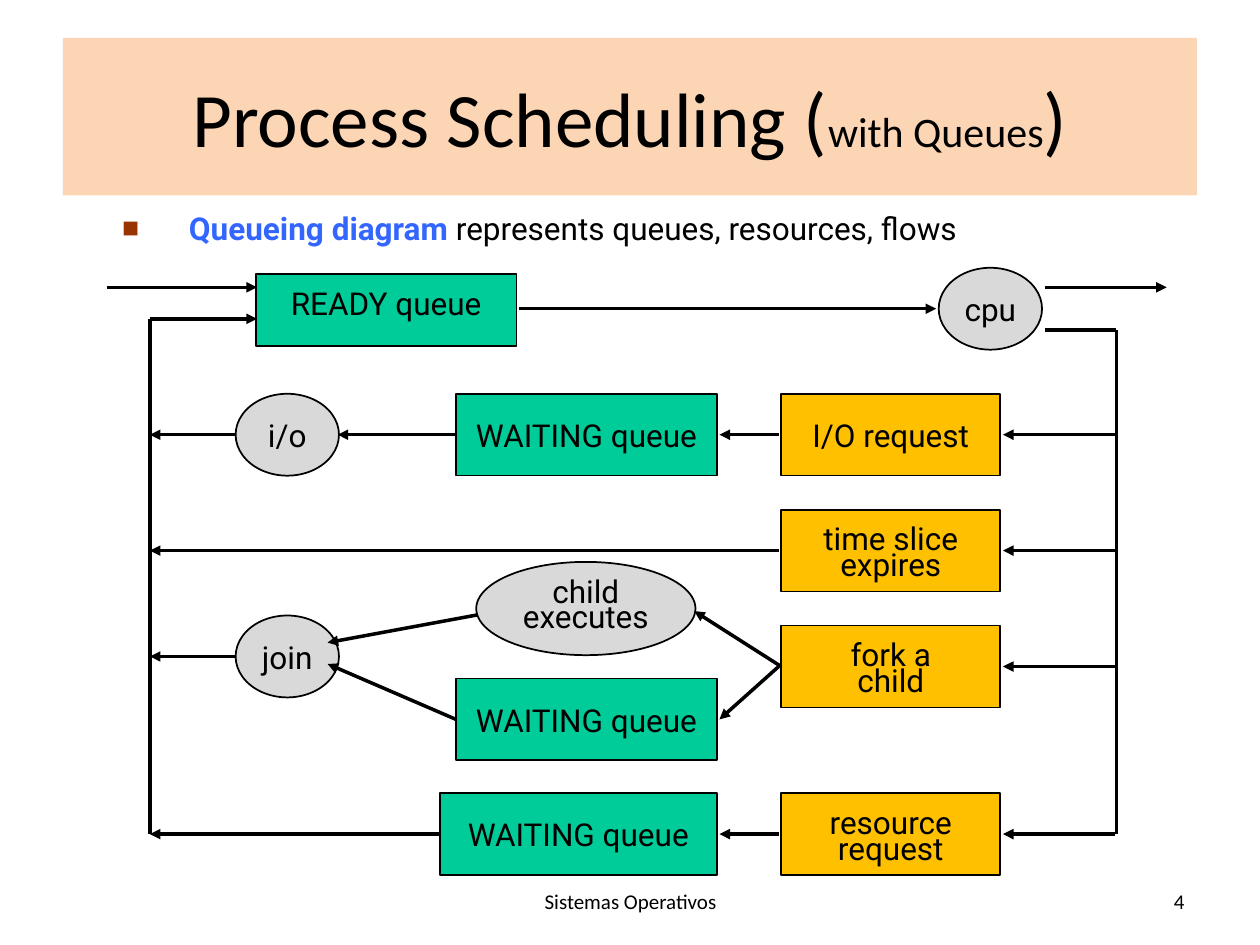
from dataclasses import dataclass

from lxml.etree import SubElement
from pptx import Presentation
from pptx.dml.color import RGBColor
from pptx.enum.shapes import MSO_CONNECTOR, MSO_SHAPE
from pptx.enum.text import MSO_ANCHOR, PP_ALIGN
from pptx.oxml.ns import qn
from pptx.util import Inches, Pt


@dataclass(frozen=True)
class Theme:
    ink: str = "000000"
    banner: str = "FCD5B5"
    queue: str = "00CC99"
    event: str = "FFC000"
    resource: str = "D9D9D9"
    term: str = "3366FF"
    bullet: str = "993300"
    heading_font: str = "Calibri"
    body_font: str = "Roboto"
    title: int = 44
    subtitle: int = 24
    body: int = 18
    footer: int = 12
    outline: int = 1
    flow: int = 2


THEME = Theme()


def rgb(value):
    return RGBColor.from_string(value)


def write(p, text, font=THEME.body_font, size=THEME.body, color=THEME.ink, bold=False):
    r = p.add_run()
    r.text = text
    r.font.name = font
    r.font.size = Pt(size)
    r.font.bold = bold
    r.font.color.rgb = rgb(color)


def add_box(s, box, kind=None, fill=None, outline=False):
    lengths = [Inches(v) for v in box]
    if kind is None:
        return s.shapes.add_textbox(*lengths)
    sp = s.shapes.add_shape(kind, *lengths)
    sp.shadow.inherit = False
    sp.fill.solid()
    sp.fill.fore_color.rgb = rgb(fill)
    if outline:
        sp.line.color.rgb = rgb(THEME.ink)
        sp.line.width = Pt(THEME.outline)
    else:
        sp.line.fill.background()
    return sp


def frame(sp, align=PP_ALIGN.CENTER, anchor=MSO_ANCHOR.MIDDLE, wrap=True):
    tf = sp.text_frame
    tf.word_wrap = wrap
    tf.vertical_anchor = anchor
    p = tf.paragraphs[0]
    p.alignment = align
    return tf, p


def add_title(s, box):
    tf, p = frame(add_box(s, box, MSO_SHAPE.RECTANGLE, THEME.banner))
    for text, size in (
        ("Process Scheduling (", THEME.title),
        ("with Queues", THEME.subtitle),
        (")", THEME.title),
    ):
        write(p, text, font=THEME.heading_font, size=size)


def add_bullet(s, box):
    tf, p = frame(add_box(s, box), PP_ALIGN.LEFT, MSO_ANCHOR.TOP)
    tf.margin_left = tf.margin_right = Inches(0.07)
    tf.margin_top = tf.margin_bottom = Inches(0.04)
    pPr = p._p.get_or_add_pPr()
    pPr.set("marL", str(Inches(0.53)))
    pPr.set("indent", str(-Inches(0.53)))
    color = SubElement(pPr, qn("a:buClr"))
    SubElement(color, qn("a:srgbClr"), val=THEME.bullet)
    SubElement(pPr, qn("a:buSzPct"), val="90000")
    SubElement(pPr, qn("a:buFont"), typeface="Arial")
    SubElement(pPr, qn("a:buChar"), char="■")
    write(p, "Queueing diagram ", color=THEME.term, bold=True)
    write(p, "represents queues, resources, flows")


def add_footer(s, box):
    left, top, width, height = box
    for text, x, w, align in (
        ("Sistemas Operativos", left, 3.17, PP_ALIGN.CENTER),
        ("4", left + width - 2.33, 2.33, PP_ALIGN.RIGHT),
    ):
        tf, p = frame(add_box(s, (x, top, w, height)), align)
        write(p, text, font=THEME.heading_font, size=THEME.footer)


def add_node(s, box, lines, kind, fill, first_spacing=None, anchor=MSO_ANCHOR.MIDDLE):
    tf, p = frame(add_box(s, box, kind, fill, outline=True), anchor=anchor, wrap=False)
    if anchor == MSO_ANCHOR.TOP:
        tf.margin_top = Inches(0.08)
    p.line_spacing = first_spacing
    write(p, lines[0])
    for line in lines[1:]:
        p = tf.add_paragraph()
        p.alignment = PP_ALIGN.CENTER
        p.line_spacing = 0.65
        write(p, line)


def add_flow(s, start, end, arrow=True):
    points = [Inches(v) for v in (*start, *end)]
    c = s.shapes.add_connector(MSO_CONNECTOR.STRAIGHT, *points)
    c.line.color.rgb = rgb(THEME.ink)
    c.line.width = Pt(THEME.flow)
    if arrow:
        SubElement(c.line._get_or_add_ln(), qn("a:tailEnd"), type="triangle")
    SubElement(c._element.spPr, qn("a:effectLst"))


def add_diagram(s, box):
    left, top, width, height = box
    node_h = 0.65
    io, time_slice, fork, request = 1.33, 2.25, 3.17, 4.5
    join, child, wait = 3.09, 2.71, 3.59
    cpu = 0.33
    bus_left, bus_right = 0.34, 8.01
    event_x, event_w = 5.35, 1.74
    event_in, event_out = 7.11, 5.33
    queue_x, queue_w, queue_in = 2.77, 2.07, 4.86
    circle_x, circle_w = 1.02, 0.82

    def node(x, mid, w, lines, fill, h=node_h, **fmt):
        kind = MSO_SHAPE.OVAL if fill == THEME.resource else MSO_SHAPE.RECTANGLE
        add_node(s, (left + x, top + mid - h / 2, w, h), lines, kind, fill, **fmt)

    def flow(x1, y1, x2, y2, arrow=True):
        add_flow(s, (left + x1, top + y1), (left + x2, top + y2), arrow)

    node(1.18, 0.34, queue_w, ["READY queue"], THEME.queue, h=0.57, anchor=MSO_ANCHOR.TOP)
    for x, mid, w in (
        (queue_x, io, queue_w),
        (queue_x, wait, queue_w),
        (2.64, request, 2.2),
    ):
        node(x, mid, w, ["WAITING queue"], THEME.queue)
    for x, mid, name in ((6.6, cpu, "cpu"), (circle_x, io, "i/o"), (circle_x, join, "join")):
        node(x, mid, circle_w, [name], THEME.resource)
    node(2.93, child, 1.74, ["child", "executes"], THEME.resource, h=0.74, first_spacing=0.65)
    for mid, lines in (
        (io, ["I/O request"]),
        (time_slice, ["time slice", "expires"]),
        (fork, ["fork a", "child"]),
        (request, ["resource", "request"]),
    ):
        node(event_x, mid, event_w, lines, THEME.event)
        flow(bus_right - 0.01, mid, event_in, mid)

    flow(0, 0.16, 1.19, 0.16)
    flow(bus_left, 0.41, 1.19, 0.41)
    flow(3.27, cpu, 6.58, cpu)
    flow(7.44, 0.16, width, 0.16)
    flow(7.44, 0.5, bus_right, 0.5, arrow=False)
    flow(bus_right, 0.5, bus_right, request, arrow=False)
    flow(bus_left, 0.41, bus_left, request, arrow=False)

    for mid in (io, request):
        flow(event_out, mid, queue_in, mid)
    for x, mid in ((circle_x, io), (circle_x, join), (2.64, request), (event_out, time_slice)):
        flow(x, mid, bus_left, mid)
    flow(queue_x, io, 1.83, io)
    flow(event_x, fork, 4.66, 2.73)
    flow(event_out, fork, queue_in, wait)
    flow(2.94, 2.76, 1.75, 2.98)
    flow(queue_x, wait, 1.75, 3.15)


def main():
    prs = Presentation()
    prs.slide_width = Inches(10)
    prs.slide_height = Inches(7.5)
    s = prs.slides.add_slide(prs.slide_layouts[6])
    add_title(s, (0.5, 0.3, 9, 1.25))
    add_bullet(s, (0.9, 1.62, 7.63, 0.47))
    add_diagram(s, (0.85, 2.12, 8.41, 4.82))
    add_footer(s, (3.42, 6.95, 6.08, 0.4))
    prs.save("out.pptx")


if __name__ == "__main__":
    main()
